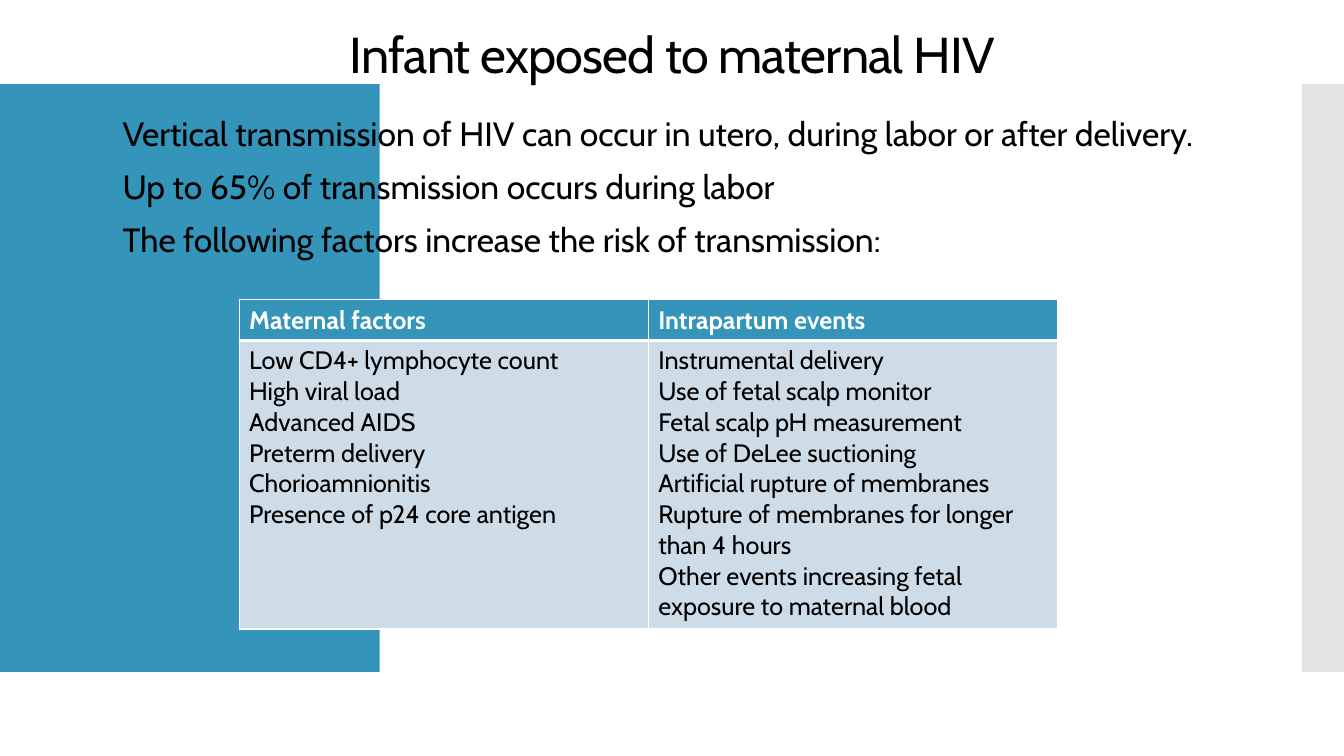
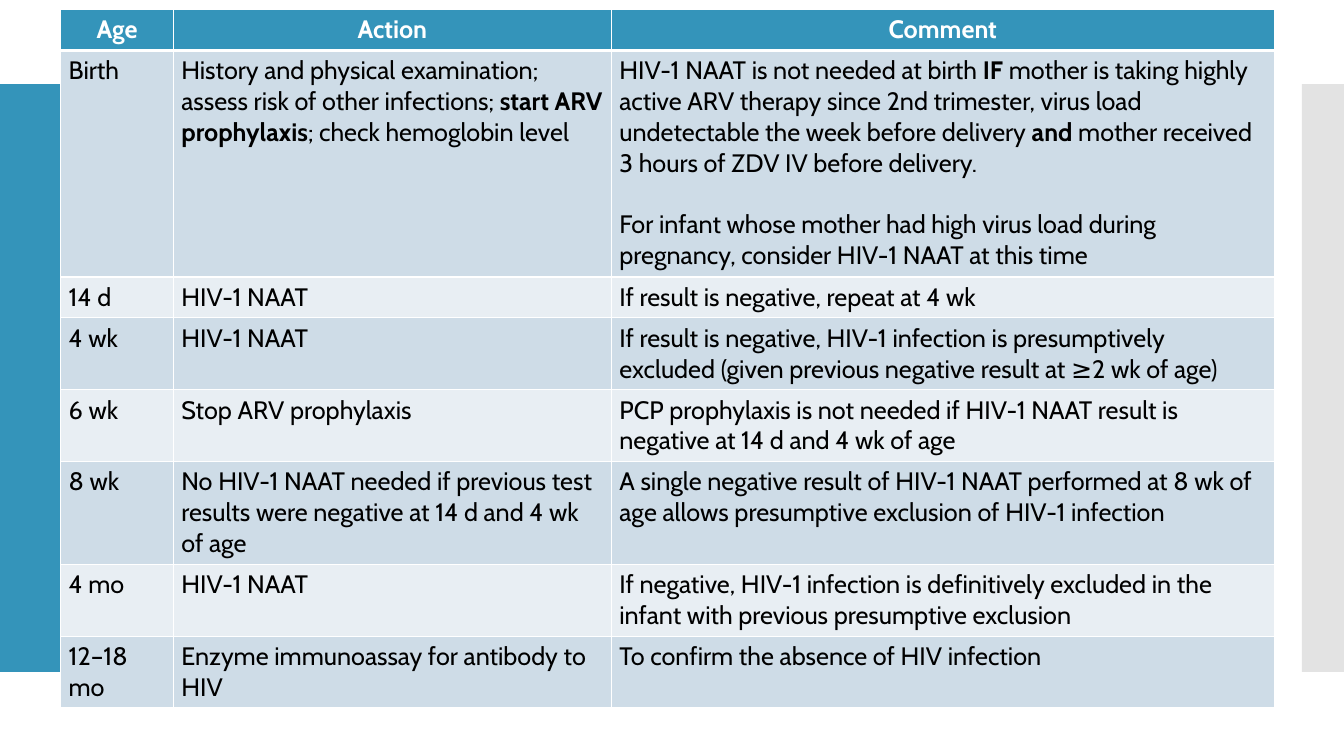
from lxml import etree
from pptx import Presentation
from pptx.dml.color import RGBColor
from pptx.enum.shapes import MSO_SHAPE
from pptx.enum.text import MSO_ANCHOR, PP_ALIGN
from pptx.oxml.ns import qn
from pptx.util import Cm, Pt

RECT = MSO_SHAPE.RECTANGLE
MIDDLE = MSO_ANCHOR.MIDDLE
LEFT, CENTER = PP_ALIGN.LEFT, PP_ALIGN.CENTER

BLUE = RGBColor(0x34, 0x94, 0xBA)
GREY = RGBColor(0xE3, 0xE3, 0xE3)
BLACK = RGBColor(0, 0, 0)
WHITE = RGBColor(0xFF, 0xFF, 0xFF)
ROW_FILLS = (RGBColor(0xE8, 0xEE, 0xF3), RGBColor(0xCE, 0xDC, 0xE7))

FONT = "Cabin"
CELL_SIZE = 18
CELL_LINE = 22      # points from one 18 pt line to the next
LINE_CM = 0.78      # the same distance in cm
ROW_PADDING = 0.25  # cm above and below the text of a row, together

STATEMENTS = [
    "Vertical transmission of HIV can occur in utero, during labor or after delivery.",
    "Up to 65% of transmission occurs during labor",
    "The following factors increase the risk of transmission:",
]

# Each cell is a list of paragraphs; ** encloses bold words.
RISK_ROWS = [
    [["Maternal factors"], ["Intrapartum events"]],
    [
        [
            "Low CD4+ lymphocyte count",
            "High viral load",
            "Advanced AIDS",
            "Preterm delivery",
            "Chorioamnionitis",
            "Presence of p24 core antigen",
        ],
        [
            "Instrumental delivery",
            "Use of fetal scalp monitor",
            "Fetal scalp pH measurement",
            "Use of DeLee suctioning",
            "Artificial rupture of membranes",
            "Rupture of membranes for longer than 4 hours",
            "Other events increasing fetal exposure to maternal blood",
        ],
    ],
]

SCHEDULE_ROWS = [
    [["Age"], ["Action"], ["Comment"]],
    [
        ["Birth"],
        ["History and physical examination; assess risk of other infections; "
         "**start ARV prophylaxis**; check hemoglobin level"],
        ["HIV-1 NAAT is not needed at birth **IF** mother is taking highly active "
         "ARV therapy since 2nd trimester, virus load undetectable the week before "
         "delivery **and** mother received 3 hours of ZDV IV before delivery.",
         "For infant whose mother had high virus load during pregnancy, consider "
         "HIV-1 NAAT at this time"],
    ],
    [["14 d"], ["HIV-1 NAAT"], ["If result is negative, repeat at 4 wk"]],
    [
        ["4 wk"],
        ["HIV-1 NAAT"],
        ["If result is negative, HIV-1 infection is presumptively excluded "
         "(given previous negative result at ≥2 wk of age)"],
    ],
    [
        ["6 wk"],
        ["Stop ARV prophylaxis"],
        ["PCP prophylaxis is not needed if HIV-1 NAAT result is negative at "
         "14 d and 4 wk of age"],
    ],
    [
        ["8 wk"],
        ["No HIV-1 NAAT needed if previous test results were negative at "
         "14 d and 4 wk of age"],
        ["A single negative result of HIV-1 NAAT performed at 8 wk of age allows "
         "presumptive exclusion of HIV-1 infection"],
    ],
    [
        ["4 mo"],
        ["HIV-1 NAAT"],
        ["If negative, HIV-1 infection is definitively excluded in the infant "
         "with previous presumptive exclusion"],
    ],
    [
        ["12–18 mo"],
        ["Enzyme immunoassay for antibody to HIV"],
        ["To confirm the absence of HIV infection"],
    ],
]


def set_font(p, size, color, bold=False):
    p.font.name = FONT
    p.font.size = Pt(size)
    p.font.color.rgb = color
    p.font.bold = bold


def paragraphs(tf, texts):
    """Yield each text with the paragraph that is to hold it."""
    for i, text in enumerate(texts):
        yield (tf.add_paragraph() if i else tf.paragraphs[0]), text


def add_band(s, left, width, color):
    sp = s.shapes.add_shape(RECT, Cm(left), Cm(2.12), Cm(width), Cm(14.81))
    sp.shadow.inherit = False
    sp.fill.solid()
    sp.fill.fore_color.rgb = color
    sp.line.fill.background()


def add_base_slide(prs):
    """Add a slide with the bands at its left and right edges."""
    s = prs.slides.add_slide(prs.slide_layouts[6])
    add_band(s, 0, 9.57, BLUE)
    add_band(s, 32.81, 1.06, GREY)
    return s


def add_text_box(s, box):
    tf = s.shapes.add_textbox(*map(Cm, box)).text_frame
    tf.word_wrap = True
    return tf


def add_title(s, box, text):
    tf = add_text_box(s, box)
    tf.vertical_anchor = MIDDLE
    p = tf.paragraphs[0]
    p.alignment = CENTER
    p.line_spacing = 0.9
    set_font(p, 36, BLACK)
    r = p.add_run()
    r.text = text
    r._r.get_or_add_rPr().set("spc", "-60")


def add_bullet(p):
    pPr = p._p.get_or_add_pPr()
    pPr.set("marL", str(Cm(0.51)))
    pPr.set("indent", str(-Cm(0.51)))
    color = etree.Element(qn("a:buClr"))
    etree.SubElement(color, qn("a:srgbClr"), val=str(BLUE))
    char = etree.Element(qn("a:buChar"), char="•")
    defaults = pPr.find(qn("a:defRPr"))
    defaults.addprevious(color)
    defaults.addprevious(char)


def add_bullet_list(s, box, texts):
    for p, text in paragraphs(add_text_box(s, box), texts):
        p.text = text
        p.line_spacing = 0.9
        p.space_before = Pt(12)
        set_font(p, 24, BLACK)
        add_bullet(p)


def set_borders(cell, top, bottom):
    """Draw white borders, with the top and bottom widths in points."""
    tcPr = cell._tc.get_or_add_tcPr()
    for side, width in (("L", 1), ("R", 1), ("T", top), ("B", bottom)):
        ln = etree.SubElement(tcPr, qn(f"a:ln{side}"), w=str(Pt(width)))
        fill = etree.SubElement(ln, qn("a:solidFill"))
        etree.SubElement(fill, qn("a:srgbClr"), val=str(WHITE))


def fill_cell(cell, texts, row, side_margin, header_align):
    header = row == 0
    set_borders(cell, 3 if row == 1 else 1, 3 if header else 1)
    cell.fill.solid()
    cell.fill.fore_color.rgb = BLUE if header else ROW_FILLS[row % 2]
    cell.margin_left = cell.margin_right = Cm(side_margin)
    for p, text in paragraphs(cell.text_frame, texts):
        p.alignment = header_align if header else LEFT
        set_font(p, CELL_SIZE, WHITE if header else BLACK, header)
        for i, part in enumerate(text.split("**")):
            r = p.add_run()
            r.text = part
            if i % 2:
                r.font.bold = True


def add_grid(s, left, top, col_widths, row_lines, rows, side_margin, header_align):
    """Add a table whose row heights follow from the text lines in each row."""
    heights = [LINE_CM * n + ROW_PADDING for n in row_lines]
    table = s.shapes.add_table(
        len(rows), len(col_widths), Cm(left), Cm(top),
        Cm(sum(col_widths)), Cm(sum(heights)),
    ).table
    table.first_row = table.horz_banding = False
    for column, width in zip(table.columns, col_widths):
        column.width = Cm(width)
    for i, (height, cells) in enumerate(zip(heights, rows)):
        table.rows[i].height = Cm(height)
        for j, texts in enumerate(cells):
            fill_cell(table.cell(i, j), texts, i, side_margin, header_align)
    return table


def add_risk_slide(prs):
    s = add_base_slide(prs)
    add_title(s, (2.33, 0.33, 29.21, 2.24), "Infant exposed to maternal HIV")
    add_bullet_list(s, (2.33, 2.84, 29.21, 12.09), STATEMENTS)
    add_grid(s, 6.03, 7.55, (10.31, 10.31), (1, 9), RISK_ROWS, 0.25, LEFT)


def add_schedule_slide(prs):
    s = add_base_slide(prs)
    table = add_grid(s, 1.53, 0.24, (2.84, 11.04, 16.7),
                     (1, 7, 1, 2, 2, 3, 2, 2), SCHEDULE_ROWS, 0.2, CENTER)
    birth_comment = table.cell(1, 2).text_frame
    birth_comment.paragraphs[1].space_before = Pt(CELL_LINE)


def main():
    prs = Presentation()
    prs.slide_width, prs.slide_height = Cm(33.87), Cm(19.05)
    add_risk_slide(prs)
    add_schedule_slide(prs)
    prs.save("out.pptx")


if __name__ == "__main__":
    main()
